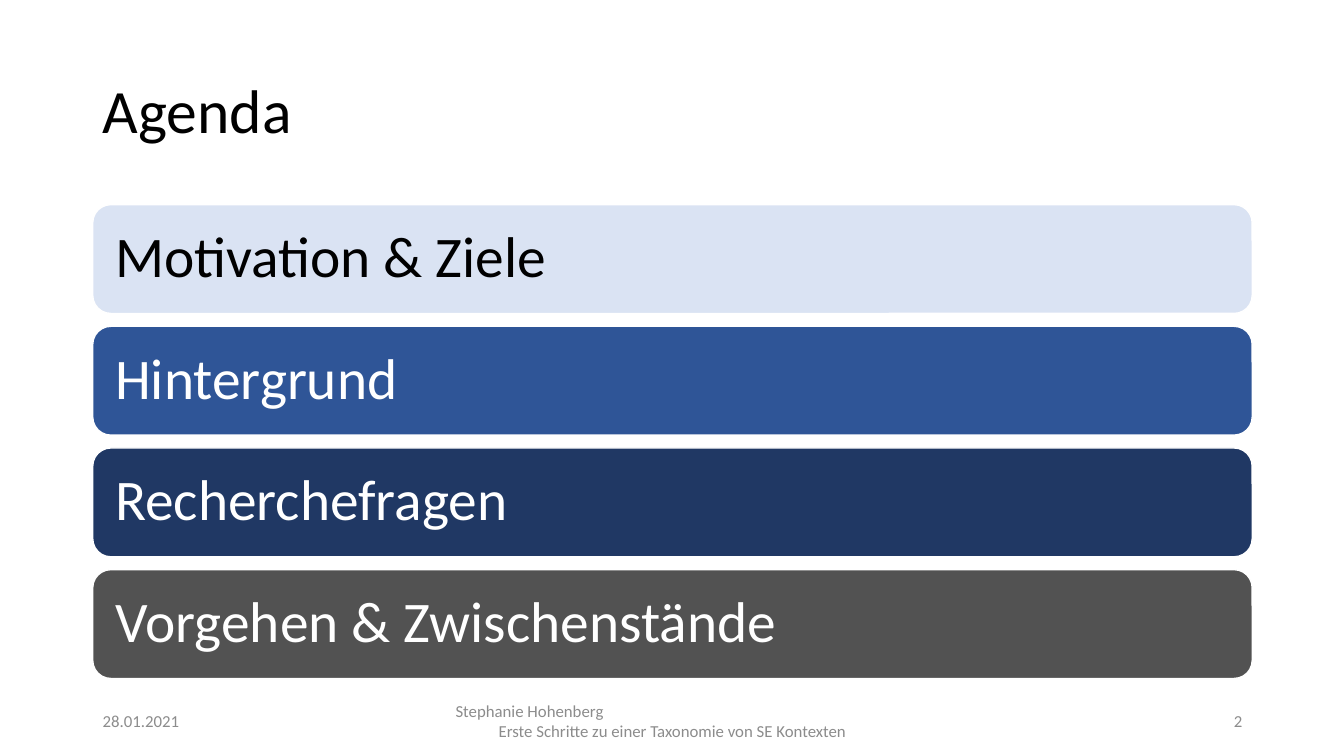
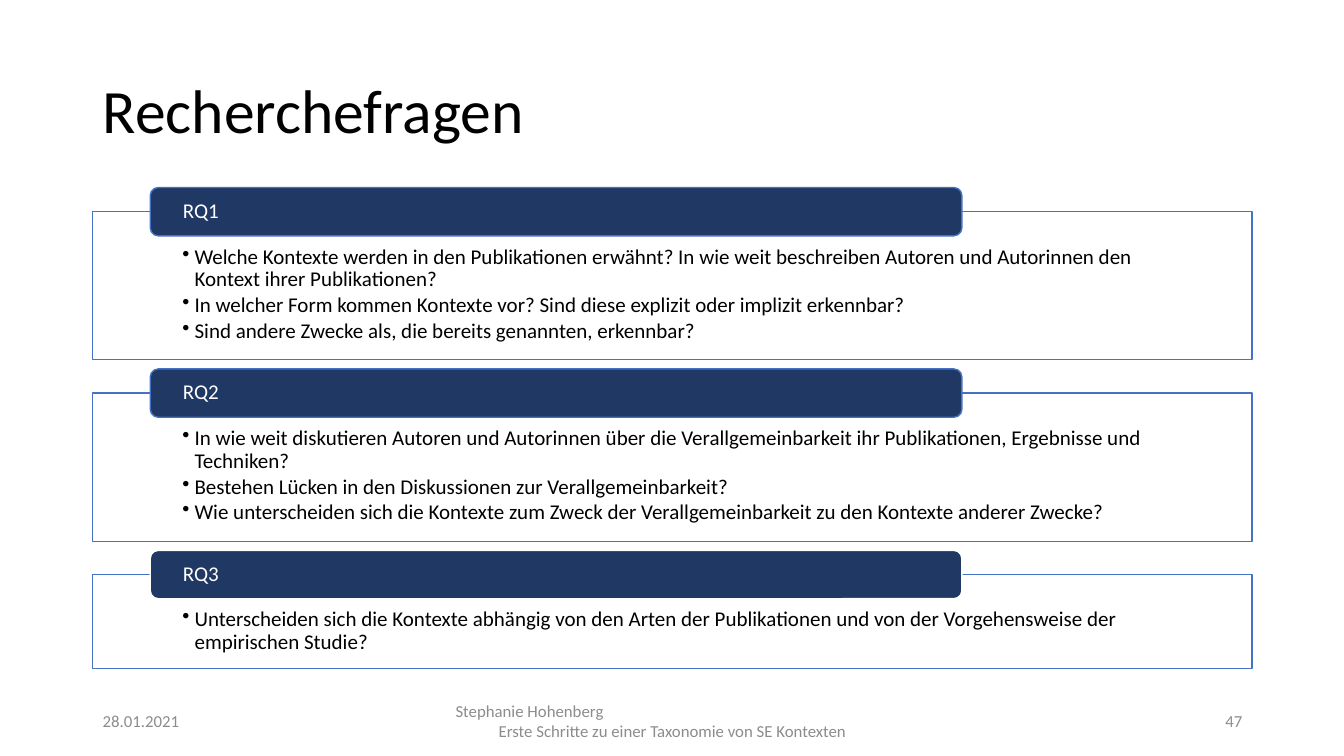
from pptx import Presentation
from pptx.dml.color import RGBColor
from pptx.enum.shapes import MSO_SHAPE as Shape
from pptx.enum.text import MSO_ANCHOR as Anchor, PP_ALIGN as Align
from pptx.oxml.ns import qn
from pptx.util import Inches, Pt
from lxml.etree import SubElement

FONT = "Calibri"
BLACK, WHITE, GREY = "000000", "FFFFFF", "8C8C8C"
PALE, BLUE, NAVY, DARK = "DAE3F3", "2F5597", "203864", "525252"
EDGE = "4472C4"
LEFT, WIDTH = 0.92, 11.5
FOOT_TOP, FOOT_HIGH = 6.95, 0.4
DATE = "28.01.2021"
AUTHOR = "Stephanie Hohenberg"
TOPIC = "Erste Schritte zu einer Taxonomie von SE Kontexten"

AGENDA = [
    ("Motivation & Ziele", PALE, BLACK),
    ("Hintergrund", BLUE, WHITE),
    ("Recherchefragen", NAVY, WHITE),
    ("Vorgehen & Zwischenstände", DARK, WHITE),
]

TOPICS = [
    ("RQ1", 1.47, EDGE, [
        "Welche Kontexte werden in den Publikationen erwähnt? In wie weit "
        "beschreiben Autoren und Autorinnen den Kontext ihrer Publikationen?",
        "In welcher Form kommen Kontexte vor? Sind diese explizit oder "
        "implizit erkennbar?",
        "Sind andere Zwecke als, die bereits genannten, erkennbar?",
    ]),
    ("RQ2", 1.47, EDGE, [
        "In wie weit diskutieren Autoren und Autorinnen über die "
        "Verallgemeinbarkeit ihr Publikationen, Ergebnisse und Techniken?",
        "Bestehen Lücken in den Diskussionen zur Verallgemeinbarkeit?",
        "Wie unterscheiden sich die Kontexte zum Zweck der "
        "Verallgemeinbarkeit zu den Kontexte anderer Zwecke?",
    ]),
    ("RQ3", 0.93, WHITE, [
        "Unterscheiden sich die Kontexte abhängig von den Arten der "
        "Publikationen und von der Vorgehensweise der empirischen Studie?",
    ]),
]


def color(code):
    return RGBColor.from_string(code)


def write(shape, lines, size, ink, pad=(0.1, 0.05, 0.1, 0.05),
          anchor=Anchor.MIDDLE, aligns=(Align.LEFT,), space=1.0):
    frame = shape.text_frame
    frame.word_wrap = True
    frame.vertical_anchor = anchor
    (frame.margin_left, frame.margin_top,
     frame.margin_right, frame.margin_bottom) = map(Inches, pad)
    frame.text = "\n".join(lines)
    for i, para in enumerate(frame.paragraphs):
        para.alignment = aligns[i % len(aligns)]
        para.line_spacing = space
        for run in para.runs:
            run.font.name = FONT
            run.font.size = Pt(size)
            run.font.color.rgb = color(ink)
    return frame


def add_text(slide, box, lines, size, ink, **style):
    shape = slide.shapes.add_textbox(*map(Inches, box))
    return write(shape, lines, size, ink, **style)


def add_box(slide, kind, box, fill, edge):
    shape = slide.shapes.add_shape(kind, *map(Inches, box))
    shape.shadow.inherit = False
    shape.fill.solid()
    shape.fill.fore_color.rgb = color(fill)
    shape.line.color.rgb = color(edge)
    shape.line.width = Pt(1)
    return shape


def add_bullet(para):
    para.space_after = Pt(2.25)
    props = para._p.get_or_add_pPr()
    props.set("marL", str(Inches(0.12)))
    props.set("indent", str(Inches(-0.12)))
    SubElement(props, qn("a:buChar")).set("char", "•")


def add_slide(deck, title, number):
    slide = deck.slides.add_slide(deck.slide_layouts[6])
    add_text(slide, (LEFT, 0.4, WIDTH, 1.45), [title], 44, BLACK, space=0.9)
    feet = [
        (LEFT, 3, [DATE], (Align.LEFT,)),
        (4.42, 4.5, [AUTHOR, TOPIC], (Align.LEFT, Align.CENTER)),
        (9.42, 3, [str(number)], (Align.RIGHT,)),
    ]
    for left, width, lines, aligns in feet:
        add_text(slide, (left, FOOT_TOP, width, FOOT_HIGH), lines, 12, GREY,
                 aligns=aligns)
    return slide


def add_bars(slide, items, top=2.03, high=1.08, gap=0.127):
    for i, (label, fill, ink) in enumerate(items):
        box = (LEFT, top + i * (high + gap), WIDTH, high)
        bar = add_box(slide, Shape.ROUNDED_RECTANGLE, box, fill, WHITE)
        write(bar, [label], 41, ink, pad=(0.17,) * 4, space=0.9)


def add_panel(slide, top, high, label, edge, lines):
    panel = add_box(slide, Shape.RECTANGLE, (LEFT, top, WIDTH, high),
                    WHITE, EDGE)
    frame = write(panel, lines, 15, BLACK, pad=(0.89, 0.34, 0.89, 0.12),
                  anchor=Anchor.TOP, space=0.9)
    for para in frame.paragraphs:
        add_bullet(para)
    tab = add_box(slide, Shape.ROUNDED_RECTANGLE,
                  (1.49, top - 0.24, 8.05, 0.48), NAVY, edge)
    write(tab, [label], 15, WHITE, pad=(0.3, 0, 0.3, 0), space=0.9)


def add_panels(slide, items, top=2.1, gap=0.33):
    for label, high, edge, lines in items:
        add_panel(slide, top, high, label, edge, lines)
        top += high + gap


def main():
    deck = Presentation()
    deck.slide_width = Inches(13.33)
    deck.slide_height = Inches(7.5)
    add_bars(add_slide(deck, "Agenda", 2), AGENDA)
    add_panels(add_slide(deck, "Recherchefragen", 47), TOPICS)
    deck.save("out.pptx")


if __name__ == "__main__":
    main()
